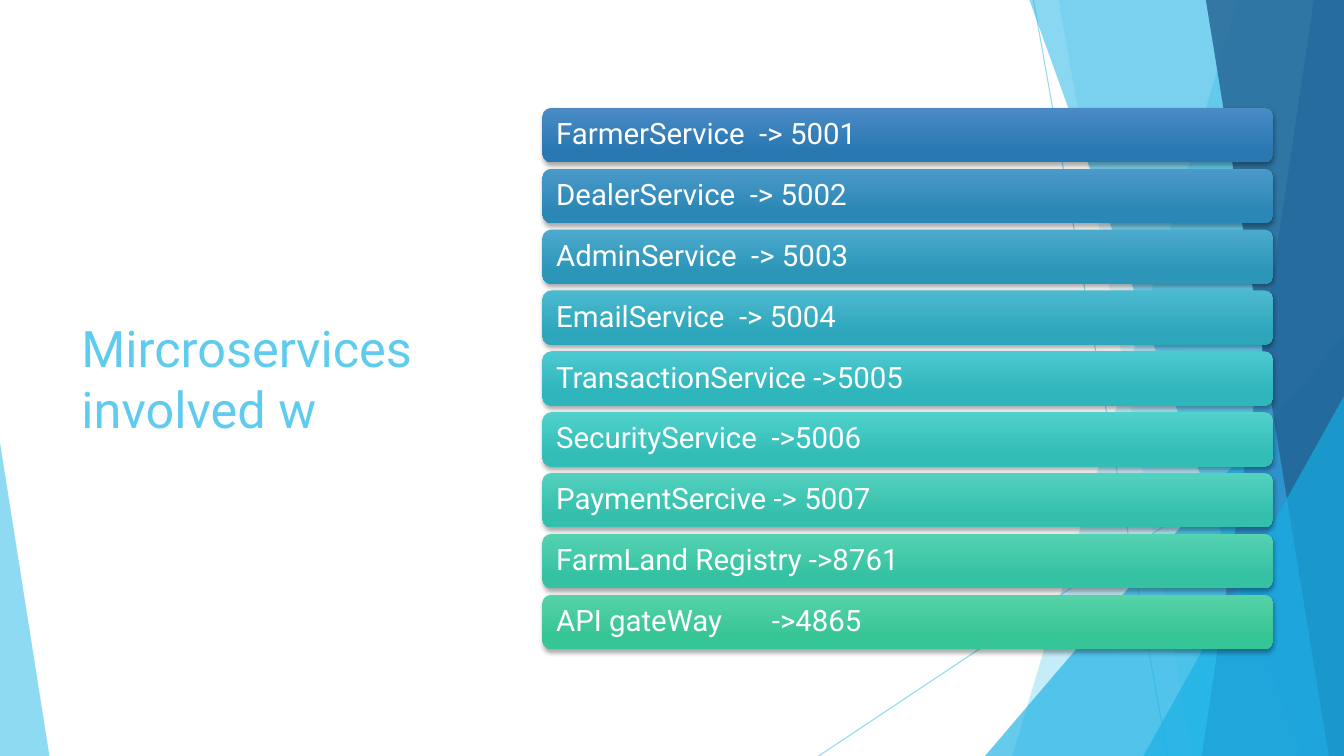
from lxml import etree
from pptx import Presentation
from pptx.dml.color import RGBColor
from pptx.enum import shapes, text
from pptx.oxml.ns import qn
from pptx.util import Inches, Pt

COLORS = {"sky": "5FCBEF", "cyan": "17B0E4", "blue": "2E83C3",
          "navy": "226292", "white": "FFFFFF", "black": "000000"}
FONT = "Roboto"


def set_alpha(color_parent, percent):
    """Make the first colour below an element partly transparent."""
    color = next(color_parent.iter(qn("a:srgbClr")))
    etree.SubElement(color, qn("a:alpha")).set("val", str(percent * 1000))


def style_text(p, size, color):
    for r in p.runs:
        r.font.name = FONT
        r.font.size = Pt(size)
        r.font.color.rgb = RGBColor.from_string(COLORS[color])


prs = Presentation()
prs.slide_width, prs.slide_height = Inches(13.33), Inches(7.5)
s = prs.slides.add_slide(prs.slide_layouts[6])

# Thin crossing lines
for x1, y1, x2, y2 in [(10.25, 0, 11.58, 7.5), (13.33, 4.03, 8.12, 7.5)]:
    line = s.shapes.add_connector(shapes.MSO_CONNECTOR.STRAIGHT, Inches(x1),
                                  Inches(y1), Inches(x2), Inches(y2))
    line.line.width = Pt(0.75)
    line.line.color.rgb = RGBColor.from_string(COLORS["sky"])
    set_alpha(line._element.spPr, 70)
    etree.SubElement(line._element.spPr, qn("a:effectLst"))

# Facets, back to front. A band has its top and bottom left corners and runs
# to the right edge; a triangle has left, top, width, height and apex position.
facets = [
    ("band", (12.28, 10.04), "sky", 36),
    ("band", (10.5, 11.83), "sky", 20),
    ("triangle", (9.77, 3.33, 3.56, 4.17, 1), "cyan", 66),
    ("band", (10.21, 12.91), "cyan", 50),
    ("band", (13.03, 11.92), "blue", 70),
    ("band", (11.96, 13.18), "navy", 80),
    ("triangle", (11.34, 3.93, 1.99, 3.57, 1), "cyan", 66),
    ("triangle", (0, 4.39, 0.49, 3.11, 0), "sky", 70),
]
for kind, geometry, color, alpha in facets:
    if kind == "band":
        top_x, bottom_x = map(Inches, geometry)
        outline = s.shapes.build_freeform(top_x, 0, scale=1.0)
        outline.add_line_segments([(prs.slide_width, 0),
                                   (prs.slide_width, prs.slide_height),
                                   (bottom_x, prs.slide_height)], close=True)
        sp = outline.convert_to_shape()
    else:
        *box, apex = geometry
        sp = s.shapes.add_shape(shapes.MSO_SHAPE.ISOSCELES_TRIANGLE,
                                *map(Inches, box))
        sp.adjustments[0] = apex
    sp.shadow.inherit = False
    sp.line.fill.background()
    sp.fill.solid()
    sp.fill.fore_color.rgb = RGBColor.from_string(COLORS[color])
    set_alpha(sp._element.spPr, alpha)

# Title
title = s.shapes.add_textbox(Inches(0.71), Inches(1.51), Inches(3.88), Inches(4.48))
tf = title.text_frame
tf.word_wrap = True
tf.vertical_anchor = text.MSO_ANCHOR.MIDDLE
tf.text = "Mircroservices involved w"
style_text(tf.paragraphs[0], 36, "sky")

# Service bars: label, gradient top, gradient bottom
services = [
    ("FarmerService  -> 5001", "4A8BC6", "2A78B2"),
    ("DealerService  -> 5002", "4B9AC9", "2B87B5"),
    ("AdminService  -> 5003", "4BA9CC", "2C96B8"),
    ("EmailService  -> 5004", "4CB9CF", "2DA6BB"),
    ("TransactionService ->5005", "4DC8D0", "2FB5BC"),
    ("SecurityService  ->5006", "50D1CB", "33BDB7"),
    ("PaymentSercive -> 5007", "52D1BE", "34BFAC"),
    ("FarmLand Registry ->8761", "54D2B2", "35C2A2"),
    ("API gateWay\t->4865", "56D2A7", "36C596"),
]
first_top, last_top = 1.07, 5.9
pitch = (last_top - first_top) / (len(services) - 1)
for i, (label, *gradient) in enumerate(services):
    bar = s.shapes.add_shape(shapes.MSO_SHAPE.ROUNDED_RECTANGLE, Inches(5.38),
                             Inches(first_top + i * pitch), Inches(7.25), Inches(0.54))
    bar.line.fill.background()
    bar.fill.gradient()
    bar.fill.gradient_angle = 270
    for stop, color, position in zip(bar.fill.gradient_stops, gradient, (0, 0.78)):
        stop.color.rgb = RGBColor.from_string(color)
        stop.position = position

    bar.shadow.inherit = False
    effects = bar._element.spPr.find(qn("a:effectLst"))
    shadow = etree.SubElement(effects, qn("a:outerShdw"), blurRad=str(Pt(3)),
                              dist=str(Pt(2)), dir="5400000", rotWithShape="0")
    etree.SubElement(shadow, qn("a:srgbClr"), val=COLORS["black"])
    set_alpha(shadow, 35)

    tf = bar.text_frame
    tf.word_wrap = True
    tf.vertical_anchor = text.MSO_ANCHOR.MIDDLE
    tf.margin_left = tf.margin_right = Inches(0.11)
    tf.margin_top = tf.margin_bottom = Inches(0.09)
    tf.text = label
    p = tf.paragraphs[0]
    p.alignment = text.PP_ALIGN.LEFT
    p.line_spacing = 0.9
    style_text(p, 21, "white")
    if "\t" in label:
        tabs = etree.SubElement(p._p.get_or_add_pPr(), qn("a:tabLst"))
        etree.SubElement(tabs, qn("a:tab"), pos=str(Inches(2.14)), algn="l")

prs.save("out.pptx")
